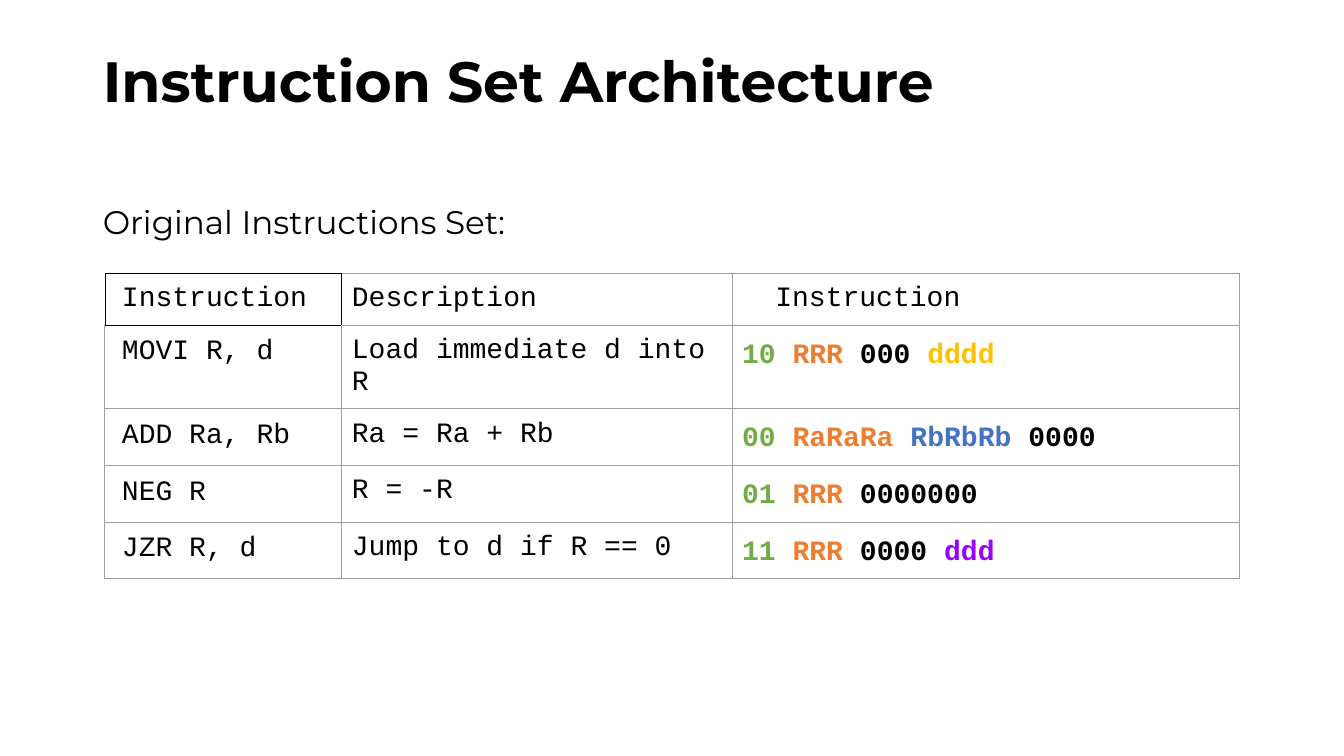
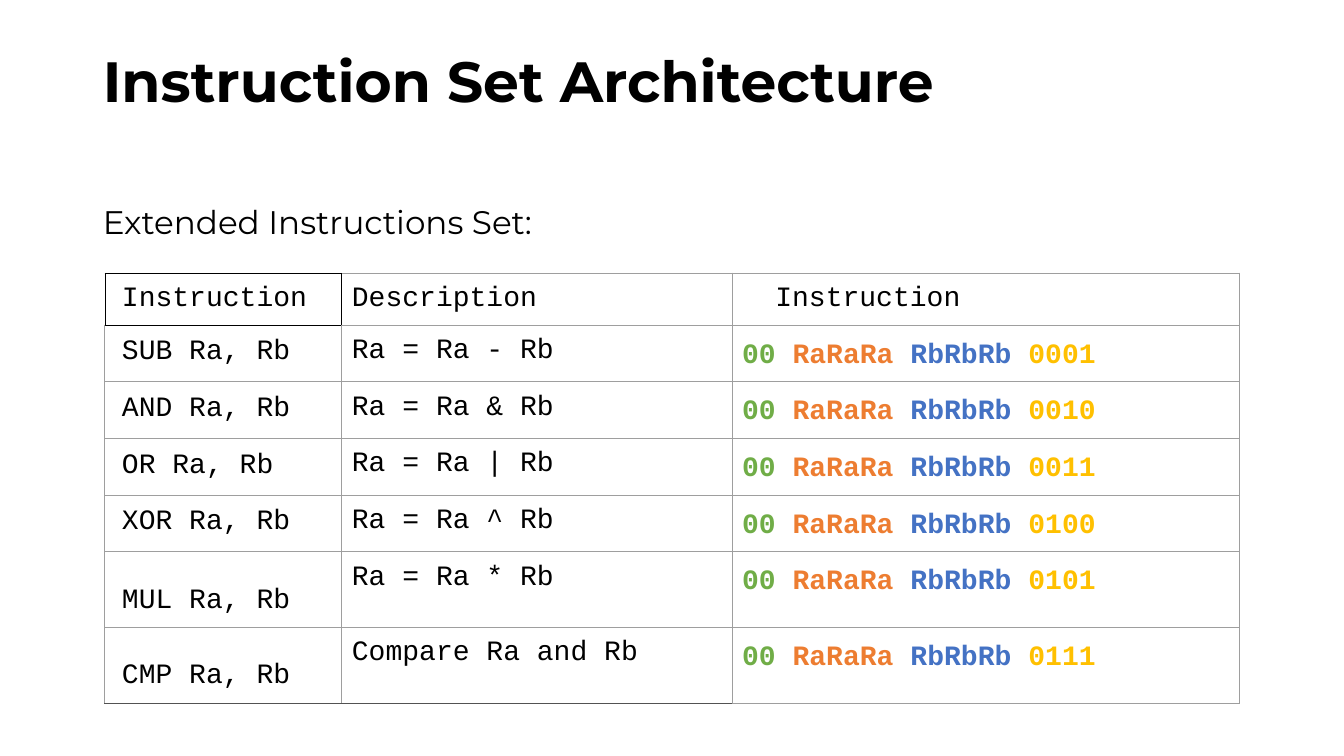
from dataclasses import dataclass

from lxml.etree import SubElement as Sub
from pptx import Presentation
from pptx.dml.color import RGBColor as RGB
from pptx.enum.text import MSO_ANCHOR as Anchor, MSO_AUTO_SIZE as Fit, PP_ALIGN as Align
from pptx.oxml.ns import qn
from pptx.util import Inches, Pt

BLACK = RGB(0x00, 0x00, 0x00)
GRAY = RGB(0x9E, 0x9E, 0x9E)
DARK = RGB(0x52, 0x52, 0x52)
GREEN = RGB(0x70, 0xAD, 0x47)
ORANGE = RGB(0xED, 0x7D, 0x31)
BLUE = RGB(0x44, 0x72, 0xC4)
GOLD = RGB(0xFF, 0xC0, 0x00)
PURPLE = RGB(0x99, 0x00, 0xFF)

SANS, MONO = "Montserrat", "Courier New"
TITLE = "Instruction Set Architecture"
HEADS = ("Instruction", "Description", "Instruction")
WIDTHS = (2.35, 3.87, 5.03)
HEAD_PADS = (0.17, 0.1, 0.43)
BODY_PADS = (0.17, 0.1, 0.1)
HEAD_H = 0.51


@dataclass(frozen=True)
class Bits:
    """A coloured field of an instruction word."""
    text: str
    ink: RGB


@dataclass(frozen=True)
class Row:
    """One instruction of a table."""
    name: str
    desc: str
    code: tuple[Bits, ...]
    high: float = 0.56
    lead: float = 1.04


@dataclass(frozen=True)
class Page:
    """The content of one slide."""
    lead: str
    rows: tuple[Row, ...]
    base: RGB


def unary(name: str, desc: str, op: str, *tail: Bits, high: float = 0.56) -> Row:
    """Make an instruction that has one register."""
    return Row(name, desc, (Bits(op, GREEN), Bits("RRR", ORANGE), *tail), high)


def binary(name: str, desc: str, func: str, ink: RGB = GOLD,
           high: float = 0.56, lead: float = 1.04) -> Row:
    """Make an instruction that has two registers."""
    code = (Bits("00", GREEN), Bits("RaRaRa", ORANGE), Bits("RbRbRb", BLUE), Bits(func, ink))
    return Row(f"{name} Ra, Rb", desc, code, high, lead)


PAGES = (
    Page("Original Instructions Set:", (
        unary("MOVI R, d", "Load immediate d into R", "10",
              Bits("000", BLACK), Bits("dddd", GOLD), high=0.83),
        binary("ADD", "Ra = Ra + Rb", "0000", BLACK),
        unary("NEG R", "R = -R", "01", Bits("0000000", BLACK)),
        unary("JZR R, d", "Jump to d if R == 0", "11",
              Bits("0000", BLACK), Bits("ddd", PURPLE)),
    ), GRAY),
    Page("Extended Instructions Set:", (
        binary("SUB", "Ra = Ra - Rb", "0001"),
        binary("AND", "Ra = Ra & Rb", "0010"),
        binary("OR", "Ra = Ra | Rb", "0011"),
        binary("XOR", "Ra = Ra ^ Rb", "0100"),
        binary("MUL", "Ra = Ra * Rb", "0101", high=0.75, lead=1.72),
        binary("CMP", "Compare Ra and Rb", "0111", high=0.75, lead=1.72),
    ), DARK),
)


def style(para, face: str, size: float, bold: bool = False) -> None:
    """Set the font of a paragraph."""
    font = para.font
    font.name, font.size, font.bold = face, Pt(size), bold
    font.color.rgb = BLACK


def fill_box(box, text: str, top: float, high: float, size: float,
             bold: bool = False, lead: float = 1.0) -> None:
    """Place a placeholder and write its text without a bullet."""
    box.left, box.top = Inches(0.92), Inches(top)
    box.width, box.height = Inches(11.5), Inches(high)
    frame = box.text_frame
    frame.text = text
    frame.auto_size, frame.vertical_anchor = Fit.NONE, Anchor.TOP
    para = frame.paragraphs[0]
    para.alignment, para.line_spacing = Align.LEFT, lead
    para.space_before = Pt(0)
    props = para._p.get_or_add_pPr()
    props.set("marL", "0")
    props.set("indent", "0")
    Sub(props, qn("a:buNone"))
    style(para, SANS, size, bold)


def edge(cell, inks: dict[str, RGB]) -> None:
    """Draw the four borders of a cell."""
    props = cell._tc.get_or_add_tcPr()
    for side in "LRTB":
        ink = inks.get(side, GRAY)
        wide = Pt(0.75 if ink == GRAY else 0.6)
        line = Sub(props, qn(f"a:ln{side}"), w=str(wide))
        Sub(Sub(line, qn("a:solidFill")), qn("a:srgbClr"), val=str(ink))


def fill_cell(cell, bits: tuple[Bits, ...], pad: float, lead: float,
              bold: bool, inks: dict[str, RGB]) -> None:
    """Write and format one cell."""
    edge(cell, inks)
    cell.fill.background()
    cell.margin_left = Inches(pad)
    cell.margin_right = cell.margin_top = cell.margin_bottom = Inches(0.1)
    para = cell.text_frame.paragraphs[0]
    para.line_spacing = lead
    style(para, MONO, 20, bold)
    for i, bit in enumerate(bits, 1):
        run = para.add_run()
        run.text = bit.text + (" " if i < len(bits) else "")
        run.font.color.rgb = bit.ink


def sides(row: int, col: int, last: int, base: RGB) -> dict[str, RGB]:
    """Give the borders of a cell that are not gray."""
    if (row, col) == (0, 0):
        return dict.fromkeys("LRTB", BLACK)
    if (row, col) == (0, 1):
        return {"L": BLACK}
    if (row, col) == (1, 0):
        return {"T": BLACK}
    return {"B": base} if row == last and col < 2 else {}


def add_grid(slide, page: Page) -> None:
    """Add the table of instructions."""
    last = len(page.rows)
    highs = [HEAD_H, *(row.high for row in page.rows)]
    grid = slide.shapes.add_table(last + 1, len(WIDTHS), Inches(1.04), Inches(2.71),
                                  Inches(sum(WIDTHS)), Inches(sum(highs))).table
    grid.first_row = grid.horz_banding = False
    for col, wide in zip(grid.columns, WIDTHS):
        col.width = Inches(wide)
    for line, high in zip(grid.rows, highs):
        line.height = Inches(high)
    for c, head in enumerate(HEADS):
        fill_cell(grid.cell(0, c), (Bits(head, BLACK),), HEAD_PADS[c], 1.0, False,
                  sides(0, c, last, page.base))
    for r, row in enumerate(page.rows, 1):
        texts = ((Bits(row.name, BLACK),), (Bits(row.desc, BLACK),), row.code)
        for c, (bits, lead) in enumerate(zip(texts, (row.lead, 1.0, 1.15))):
            fill_cell(grid.cell(r, c), bits, BODY_PADS[c], lead, c == 2,
                      sides(r, c, last, page.base))


def main() -> None:
    """Build the slides and save them."""
    deck = Presentation()
    deck.slide_width, deck.slide_height = Inches(13.33), Inches(7.5)
    for page in PAGES:
        slide = deck.slides.add_slide(deck.slide_layouts[1])
        fill_box(slide.shapes.title, TITLE, 0.4, 1.45, 40.5, bold=True)
        fill_box(slide.placeholders[1], page.lead, 2, 0.6, 23.3, lead=0.9)
        add_grid(slide, page)
    deck.save("out.pptx")


if __name__ == "__main__":
    main()
